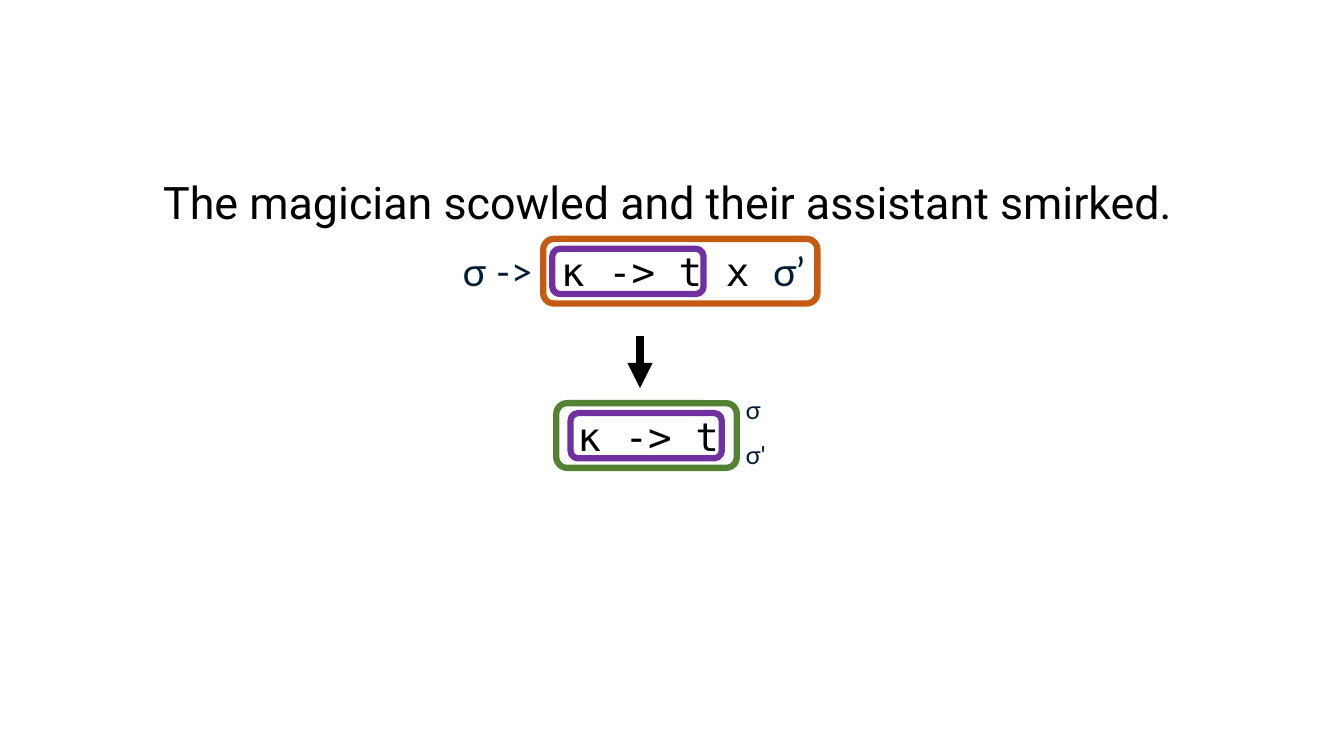
from typing import NamedTuple

from lxml import etree
from pptx import Presentation
from pptx.dml.color import RGBColor
from pptx.enum import shapes, text
from pptx.oxml import ns
from pptx.util import Cm, Pt

HUES = {"ink": "000000", "navy": "001D35", "rust": "C55A11",
        "plum": "7030A0", "moss": "548235"}
LATO = {"name": "Lato", "hue": "navy"}
MONO = {"name": "DejaVu Sans Mono", "hue": "ink"}
HEAD = {"name": "Roboto", "hue": "ink"}


class Run(NamedTuple):
    words: str
    look: dict
    track: int = 0


class Label(NamedTuple):
    box: tuple
    runs: list
    size: int
    align: text.PP_ALIGN
    anchor: text.MSO_ANCHOR


class Frame(NamedTuple):
    box: tuple
    hue: str


def color(key: str) -> RGBColor:
    return RGBColor.from_string(HUES[key])


def write(shape, label: Label) -> None:
    shape.left, shape.top, shape.width, shape.height = map(Cm, label.box)
    frame = shape.text_frame
    form = {"word_wrap": True, "auto_size": text.MSO_AUTO_SIZE.NONE,
            "vertical_anchor": label.anchor,
            "margin_left": Cm(0.25), "margin_right": Cm(0.25),
            "margin_top": Cm(0.13), "margin_bottom": Cm(0.13)}
    for key, value in form.items():
        setattr(frame, key, value)
    para = frame.paragraphs[0]
    para.alignment = label.align
    for part in label.runs:
        run = para.add_run()
        run.text = part.words
        for key, value in {"name": part.look["name"], "size": Pt(label.size)}.items():
            setattr(run.font, key, value)
        run.font.color.rgb = color(part.look["hue"])
        if part.track:
            run._r.get_or_add_rPr().set("spc", str(part.track))


def border(slide, frame: Frame) -> None:
    shape = slide.shapes.add_shape(
        shapes.MSO_SHAPE.ROUNDED_RECTANGLE, *map(Cm, frame.box))
    shape.shadow.inherit = False
    shape.fill.background()
    shape.line.color.rgb = color(frame.hue)
    shape.line.width = Pt(4.5)


def arrow(slide, x: float, top: float, end: float) -> None:
    link = slide.shapes.add_connector(
        shapes.MSO_CONNECTOR.STRAIGHT, Cm(x), Cm(top), Cm(x), Cm(end))
    link.line.color.rgb = color("ink")
    link.line.width = Pt(6)
    etree.SubElement(link.line._get_or_add_ln(), ns.qn("a:tailEnd"), type="triangle")
    etree.SubElement(link._element.spPr, ns.qn("a:effectLst"))


LEFT, MID = text.PP_ALIGN.LEFT, text.PP_ALIGN.CENTER
TOP, CORE = text.MSO_ANCHOR.TOP, text.MSO_ANCHOR.MIDDLE

TITLE = Label((3.86, 4.27, 26.14, 1.63),
              [Run("The magician scowled and their assistant smirked.", HEAD)],
              32, LEFT, TOP)
LABELS = [
    Label((10.85, 6.15, 10.24, 1.37),
          [Run("σ ->", LATO), Run(" ", LATO, 1260),
           Run("κ -> t x ", MONO), Run("σ’", LATO)], 28, MID, CORE),
    Label((12.45, 10.29, 7.77, 1.37), [Run("κ -> t", MONO)], 28, MID, CORE),
    Label((18.54, 9.8, 1.24, 1.02), [Run("σ", LATO)], 18, LEFT, TOP),
    Label((18.54, 10.95, 1.24, 1.02), [Run("σ'", LATO)], 18, LEFT, TOP),
]
FRAMES = [
    Frame((13.69, 6.02, 6.91, 1.63), "rust"),
    Frame((13.92, 6.27, 3.81, 1.14), "plum"),
    Frame((14.02, 10.16, 4.55, 1.63), "moss"),
    Frame((14.38, 10.41, 3.81, 1.14), "plum"),
]


def main() -> None:
    deck = Presentation()
    deck.slide_width, deck.slide_height = Cm(33.87), Cm(19.05)
    slide = deck.slides.add_slide(deck.slide_layouts[5])
    write(slide.shapes.title, TITLE)
    for label in LABELS:
        write(slide.shapes.add_textbox(*map(Cm, label.box)), label)
    for frame in FRAMES:
        border(slide, frame)
    arrow(slide, 16.13, 8.46, 9.78)
    deck.save("out.pptx")


if __name__ == "__main__":
    main()
